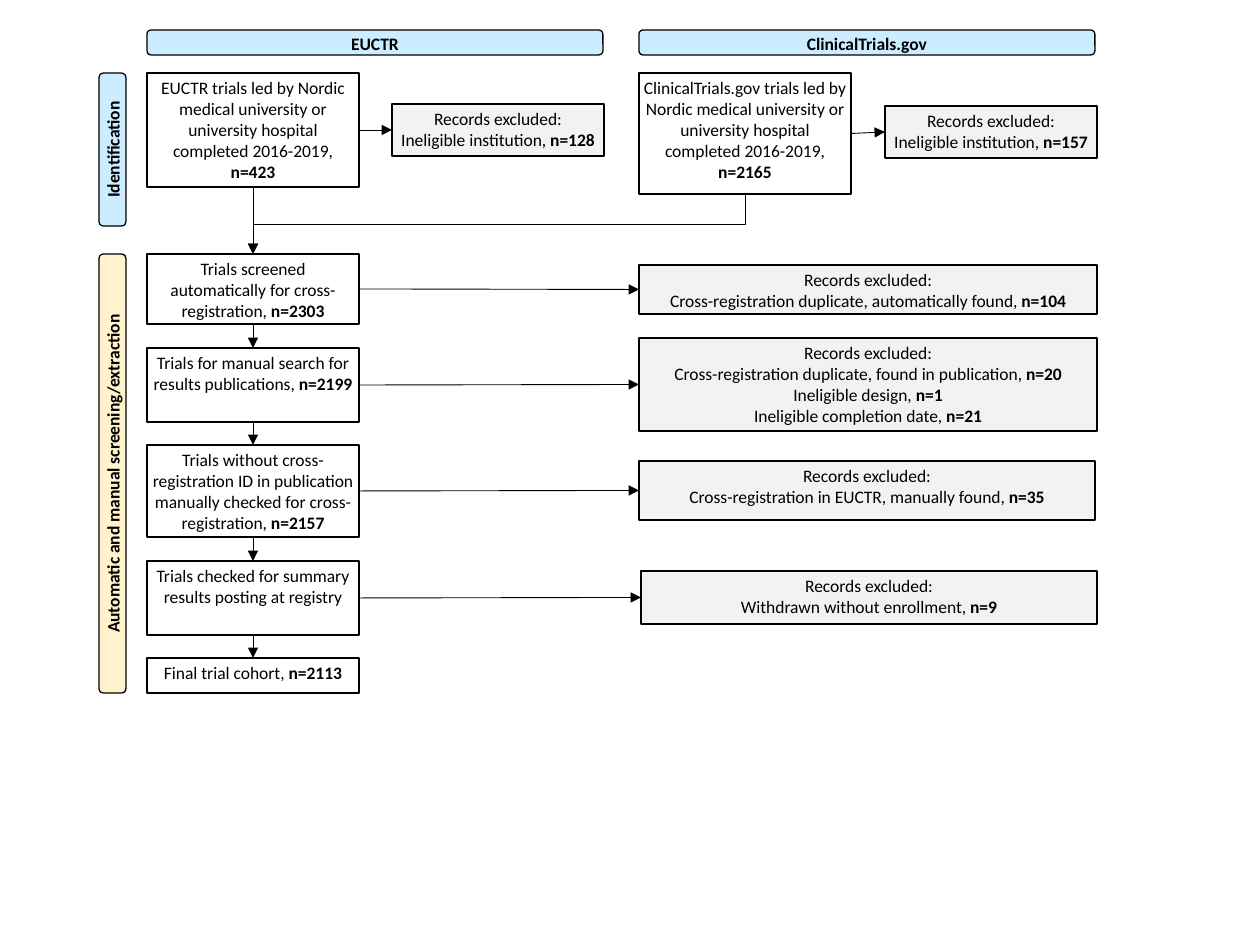
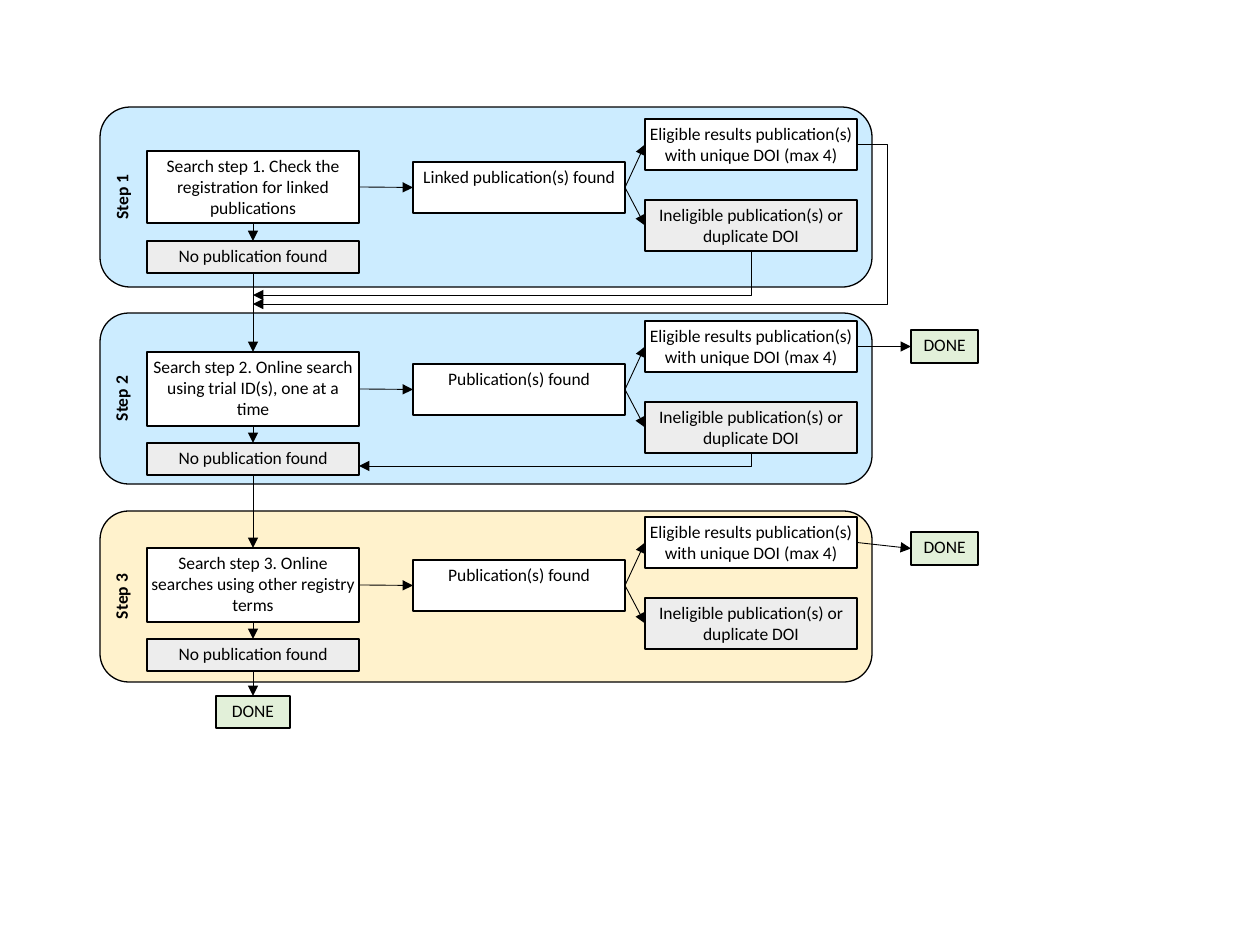
from lxml import etree
from pptx import Presentation
from pptx.dml.color import RGBColor
from pptx.enum.shapes import MSO_CONNECTOR, MSO_SHAPE
from pptx.enum.text import MSO_ANCHOR, PP_ALIGN
from pptx.oxml.ns import qn
from pptx.util import Pt

RECTANGLE = MSO_SHAPE.RECTANGLE
ROUNDED = MSO_SHAPE.ROUNDED_RECTANGLE
STRAIGHT = MSO_CONNECTOR.STRAIGHT
ELBOW = MSO_CONNECTOR.ELBOW
TOP_ANCHOR = MSO_ANCHOR.TOP
CENTER = PP_ALIGN.CENTER

# Shared style
EMU_PER_PX = 914400 / 126
FONT = "Calibri"
BLACK, WHITE = "000000", "FFFFFF"
BLUE, YELLOW, GREEN = "CCECFF", "FFF2CC", "E2F0D9"
EXCLUDED_GREY, REJECTED_GREY = "F2F2F2", "EDEDED"
TOP, LEFT, BOTTOM, RIGHT = range(4)

# Shared columns
FLOW_LEFT, BOX_WIDTH = 147, 212
FLOW_MIDDLE = FLOW_LEFT + BOX_WIDTH // 2
FLOW_RIGHT = FLOW_LEFT + BOX_WIDTH


def emu(px):
    return round(px * EMU_PER_PX)


def color(hex_string):
    return RGBColor.from_string(hex_string)


def add_run(paragraph, text, bold=False):
    run = paragraph.add_run()
    run.text = text
    run.font.name = FONT
    run.font.size = Pt(10)
    run.font.bold = bold
    run.font.color.rgb = color(BLACK)


def add_block(slide, kind, frame, fill, inset):
    """Add an outlined, filled shape with empty centred text."""
    shape = slide.shapes.add_shape(kind, *map(emu, frame))
    shape.shadow.inherit = False
    shape.fill.solid()
    shape.fill.fore_color.rgb = color(fill)
    shape.line.color.rgb = color(BLACK)
    shape.line.width = Pt(0.75)
    text_frame = shape.text_frame
    text_frame.word_wrap = True
    text_frame.vertical_anchor = TOP_ANCHOR
    text_frame.margin_left = text_frame.margin_right = emu(inset)
    text_frame.margin_top = text_frame.margin_bottom = emu(inset)
    text_frame.paragraphs[0].alignment = CENTER
    return shape


def add_box(slide, frame, lines, fill=WHITE):
    """Add a box; each line is a text and a bold count, which may be empty."""
    shape = add_block(slide, RECTANGLE, frame, fill, 4)
    text_frame = shape.text_frame
    for index, (text, count) in enumerate(lines):
        paragraph = text_frame.add_paragraph() if index else text_frame.paragraphs[0]
        paragraph.alignment = CENTER
        add_run(paragraph, text)
        if count:
            add_run(paragraph, count, bold=True)
    return shape


def add_excluded(slide, frame, reasons):
    return add_box(slide, frame, [("Records excluded:", "")] + reasons, EXCLUDED_GREY)


def add_done(slide, frame):
    return add_box(slide, frame, [("DONE", "")], GREEN)


def add_band(slide, frame, title, fill, upright=False):
    """Add a rounded band; an upright one reads from bottom to top."""
    left, top, width, height = frame
    if upright:
        frame = (left + (width - height) / 2, top + (height - width) / 2, height, width)
    shape = add_block(slide, ROUNDED, frame, fill, 2)
    shape.rotation = 270 if upright else 0
    add_run(shape.text_frame.paragraphs[0], title, bold=True)


def style_arrow(connector):
    connector.line.color.rgb = color(BLACK)
    connector.line.width = Pt(0.5)
    properties = connector.element.spPr
    etree.SubElement(properties.find(qn("a:ln")), qn("a:tailEnd"), type="triangle")
    etree.SubElement(properties, qn("a:effectLst"))


def join(slide, source, source_side, target, target_side):
    connector = slide.shapes.add_connector(STRAIGHT, 0, 0, 0, 0)
    connector.begin_connect(source, source_side)
    connector.end_connect(target, target_side)
    style_arrow(connector)


def join_right(slide, source, target):
    join(slide, source, RIGHT, target, LEFT)


def join_down(slide, source, target):
    join(slide, source, BOTTOM, target, TOP)


def add_elbow(slide, start, end, preset, bend=None, start_down=True):
    """Add a bent arrow running leftwards, setting out downwards or sideways."""
    connector = slide.shapes.add_connector(ELBOW, *map(emu, start + end))
    properties = connector.element.spPr
    if start_down:
        left, top, width, height = (
            connector.left, connector.top, connector.width, connector.height)
        connector.left = left + (width - height) // 2
        connector.top = top + (height - width) // 2
        connector.width, connector.height = height, width
        transform = properties.find(qn("a:xfrm"))
        transform.attrib.pop("flipH")
        transform.set("rot", "5400000")
    geometry = properties.find(qn("a:prstGeom"))
    geometry.set("prst", preset)
    if bend is not None:
        guides = geometry.find(qn("a:avLst"))
        etree.SubElement(guides, qn("a:gd"), name="adj1",
                         fmla=f"val {round(bend * 100000)}")
    style_arrow(connector)


def build_trial_flow(slide):
    registry_left = 639

    # Registry headers and phase bands
    add_band(slide, (FLOW_LEFT, 30, 456, 25), "EUCTR", BLUE)
    add_band(slide, (registry_left, 30, 456, 25), "ClinicalTrials.gov", BLUE)
    add_band(slide, (99, 73, 27, 153), "Identification", BLUE, upright=True)
    add_band(slide, (99, 254, 27, 439), "Automatic and manual screening/extraction",
             YELLOW, upright=True)

    # Identification
    sources = [
        ("EUCTR", "n=423", (FLOW_LEFT, 73, BOX_WIDTH, 114),
         "n=128", (392, 104, BOX_WIDTH, 52)),
        ("ClinicalTrials.gov", "n=2165", (registry_left, 73, BOX_WIDTH, 121),
         "n=157", (885, 106, BOX_WIDTH, 52)),
    ]
    source_boxes = []
    for registry, count, frame, excluded_count, excluded_frame in sources:
        text = (f"{registry} trials led by Nordic medical university or "
                "university hospital completed 2016-2019, ")
        source = add_box(slide, frame, [(text, count)])
        excluded = add_excluded(slide, excluded_frame,
                                [("Ineligible institution, ", excluded_count)])
        join_right(slide, source, excluded)
        source_boxes.append(source)

    # Screening stages: top, height, text, count, excluded frame, reasons
    stages = [
        (254, 70, "Trials screened automatically for cross-registration, ", "n=2303",
         (registry_left, 265, 458, 49),
         [("Cross-registration duplicate, automatically found, ", "n=104")]),
        (348, 74, "Trials for manual search for results publications, ", "n=2199",
         (registry_left, 338, 458, 93),
         [("Cross-registration duplicate, found in publication, ", "n=20"),
          ("Ineligible design, ", "n=1"),
          ("Ineligible completion date, ", "n=21")]),
        (445, 92, "Trials without cross-registration ID in publication manually "
         "checked for cross-registration, ", "n=2157",
         (registry_left, 461, 456, 59),
         [("Cross-registration in EUCTR, manually found, ", "n=35")]),
        (561, 74, "Trials checked for summary results posting at registry", "",
         (641, 571, 456, 53), [("Withdrawn without enrollment, ", "n=9")]),
        (658, 35, "Final trial cohort, ", "n=2113", None, []),
    ]
    previous = source_boxes[0]
    for top, height, text, count, excluded_frame, reasons in stages:
        stage = add_box(slide, (FLOW_LEFT, top, BOX_WIDTH, height), [(text, count)])
        join_down(slide, previous, stage)
        if reasons:
            join_right(slide, stage, add_excluded(slide, excluded_frame, reasons))
        previous = stage

    # Second registry merges into the flow
    add_elbow(slide, (registry_left + BOX_WIDTH // 2, 194), (FLOW_MIDDLE, 254),
              "bentConnector3", bend=0.5)


def build_search_steps(slide):
    found_left, outcome_left, outcome_height = 413, 645, 51
    outcome_middle = outcome_left + BOX_WIDTH // 2
    outcome_right = outcome_left + BOX_WIDTH

    # Step bands
    bands = [(107, 180, BLUE), (313, 171, BLUE), (511, 171, YELLOW)]
    for number, (top, height, fill) in enumerate(bands, start=1):
        add_band(slide, (100, top, 772, height), f"Step {number}", fill, upright=True)

    # Steps: top of the outcomes, search height, search text, found text, done top
    steps = [
        (119, 72, "Search step 1. Check the registration for linked publications",
         "Linked publication(s) found", None),
        (321, 74, "Search step 2. Online search using trial ID(s), one at a time",
         "Publication(s) found", 330),
        (517, 74, "Search step 3. Online searches using other registry terms",
         "Publication(s) found", 532),
    ]
    previous = None
    for top, search_height, search_text, found_text, done_top in steps:
        search = add_box(
            slide, (FLOW_LEFT, top + 68 - search_height // 2, BOX_WIDTH, search_height),
            [(search_text, "")])
        nothing = add_box(slide, (FLOW_LEFT, top + 122, BOX_WIDTH, 32),
                          [("No publication found", "")], REJECTED_GREY)
        found = add_box(slide, (found_left, top + 43, BOX_WIDTH, outcome_height),
                        [(found_text, "")])
        eligible = add_box(
            slide, (outcome_left, top, BOX_WIDTH, outcome_height),
            [("Eligible results publication(s) with unique DOI (max 4)", "")])
        ineligible = add_box(
            slide, (outcome_left, top + 81, BOX_WIDTH, outcome_height),
            [("Ineligible publication(s) or duplicate DOI", "")], REJECTED_GREY)
        if previous:
            join_down(slide, previous, search)
        join_down(slide, search, nothing)
        join_right(slide, search, found)
        join_right(slide, found, eligible)
        join_right(slide, found, ineligible)
        if done_top:
            join_right(slide, eligible, add_done(slide, (911, done_top, 67, 33)))
        previous = nothing
    join_down(slide, previous, add_done(slide, (216, 696, 74, 32)))

    # Returns to the search flow
    add_elbow(slide, (outcome_middle, 251), (FLOW_MIDDLE, 295), "bentConnector2")
    add_elbow(slide, (outcome_right, 144), (FLOW_MIDDLE, 304), "bentConnector3",
              bend=-0.05, start_down=False)
    add_elbow(slide, (outcome_middle, 453), (FLOW_RIGHT, 466), "bentConnector2")


def main():
    presentation = Presentation()
    presentation.slide_width = emu(1260)
    presentation.slide_height = emu(945)
    blank = presentation.slide_layouts[6]
    for build in (build_trial_flow, build_search_steps):
        build(presentation.slides.add_slide(blank))
    presentation.save("out.pptx")


if __name__ == "__main__":
    main()
